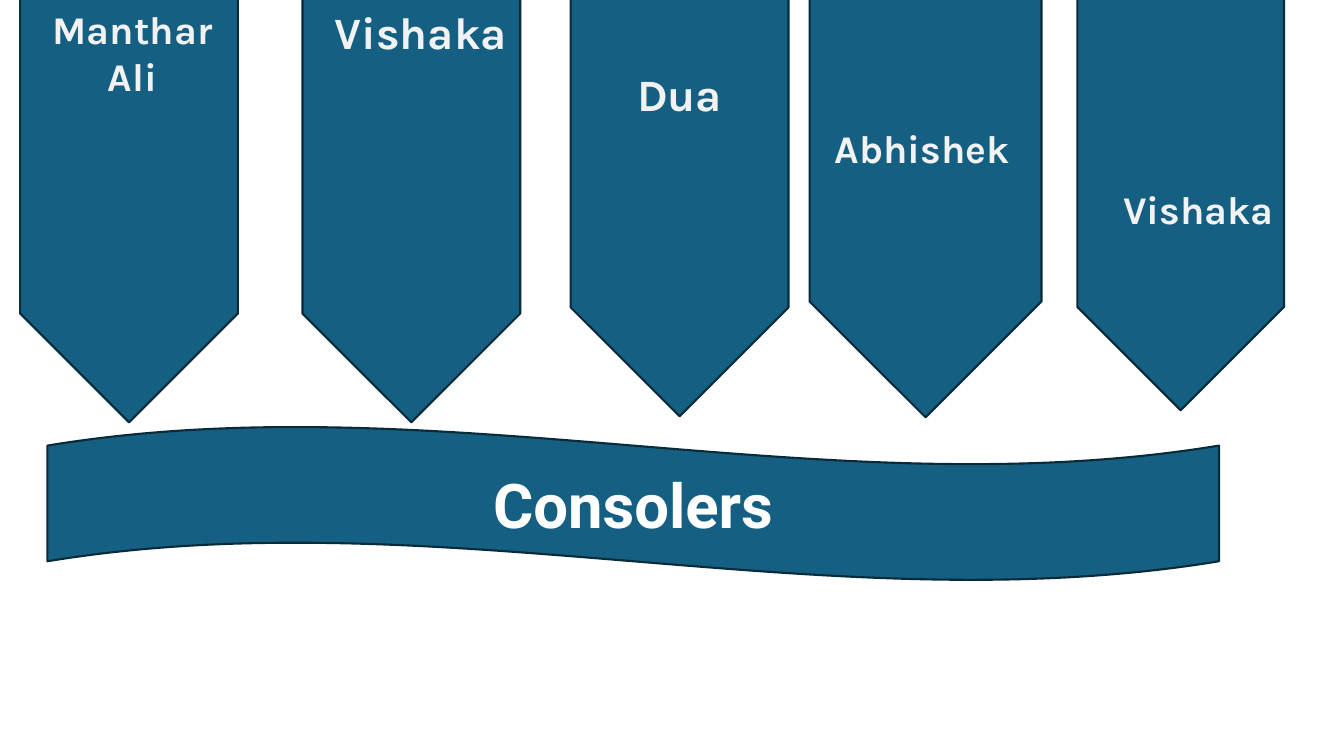
from dataclasses import dataclass

from pptx import Presentation
from pptx.dml.color import RGBColor
from pptx.enum.shapes import MSO_SHAPE
from pptx.enum.text import MSO_ANCHOR, MSO_AUTO_SIZE, PP_ALIGN
from pptx.util import Inches, Pt


@dataclass(frozen=True)
class Theme:
    fill: RGBColor = RGBColor(0x15, 0x60, 0x82)
    outline: RGBColor = RGBColor(0x09, 0x2A, 0x39)
    title_color: RGBColor = RGBColor(0xFF, 0xFF, 0xFF)
    name_color: RGBColor = RGBColor(0xF2, 0xF2, 0xF2)
    title_font: str = "Roboto"
    name_font: str = "Karla"
    title_size: int = 44
    large_name: int = 32
    small_name: int = 28
    line_width: float = 1.5


class SlideBuilder:
    def __init__(self, page, theme):
        self.page = page
        self.theme = theme

    def shape(self, kind, left, top, width, height):
        shape = self.page.shapes.add_shape(
            kind, Inches(left), Inches(top), Inches(width), Inches(height))
        shape.shadow.inherit = False
        shape.fill.solid()
        shape.fill.fore_color.rgb = self.theme.fill
        shape.line.color.rgb = self.theme.outline
        shape.line.width = Pt(self.theme.line_width)
        return shape

    def down_arrow(self, center_x, center_y, length, thickness):
        """Turn a pentagon a quarter so that it points down, around its centre."""
        arrow = self.shape(MSO_SHAPE.PENTAGON, center_x - length / 2,
                           center_y - thickness / 2, length, thickness)
        arrow.rotation = 90

    def add_text(self, frame, text, align, font, size, color):
        frame.word_wrap = True
        para = frame.paragraphs[0]
        para.alignment = align
        span = para.add_run()
        span.text = text
        span.font.name = font
        span.font.size = Pt(size)
        span.font.bold = True
        span.font.color.rgb = color

    def banner(self, text, left, top, width, height):
        wave = self.shape(MSO_SHAPE.WAVE, left, top, width, height)
        wave.text_frame.vertical_anchor = MSO_ANCHOR.MIDDLE
        self.add_text(wave.text_frame, text, PP_ALIGN.CENTER, self.theme.title_font,
                      self.theme.title_size, self.theme.title_color)

    def name(self, text, left, top, width, height, size, align):
        box = self.page.shapes.add_textbox(
            Inches(left), Inches(top), Inches(width), Inches(height))
        box.text_frame.auto_size = MSO_AUTO_SIZE.SHAPE_TO_FIT_TEXT
        self.add_text(box.text_frame, text, align, self.theme.name_font, size,
                      self.theme.name_color)


def main():
    deck = Presentation()
    deck.slide_width = Inches(13.33)
    deck.slide_height = Inches(7.5)
    theme = Theme()
    builder = SlideBuilder(deck.slides.add_slide(deck.slide_layouts[6]), theme)

    arrow_length = 5.72
    arrows = [  # centre x, centre y, thickness
        (1.28, 1.33, 2.16),
        (4.08, 1.33, 2.16),
        (6.74, 1.27, 2.16),
        (9.18, 1.28, 2.3),
        (11.71, 1.21, 2.05),
    ]
    for center_x, center_y, thickness in arrows:
        builder.down_arrow(center_x, center_y, arrow_length, thickness)

    builder.banner("Consolers", 0.47, 4.23, 11.62, 1.53)

    large, small = theme.large_name, theme.small_name
    names = [  # text, left, top, width, height, size, alignment
        ("Manthar Ali", 0.18, 0, 2.27, 0.57, small, PP_ALIGN.CENTER),
        ("Vishaka", 3.22, 0, 1.95, 1.18, large, PP_ALIGN.LEFT),
        ("Dua", 6.22, 0.61, 1.95, 1.18, large, PP_ALIGN.LEFT),
        ("Abhishek", 8.17, 1.18, 1.95, 1.04, small, PP_ALIGN.CENTER),
        ("Vishaka", 11.04, 1.79, 1.95, 0.88, small, PP_ALIGN.LEFT),
    ]
    for name in names:
        builder.name(*name)

    deck.save("out.pptx")


if __name__ == "__main__":
    main()
